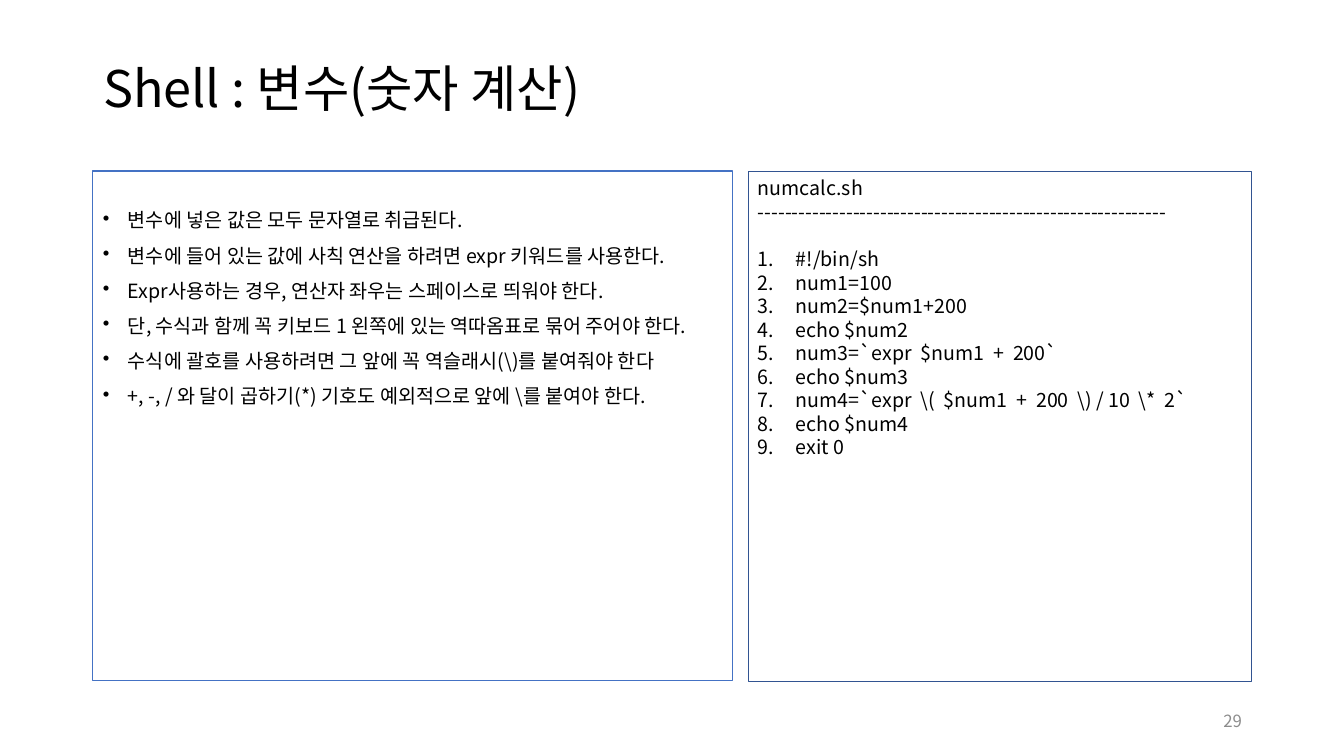
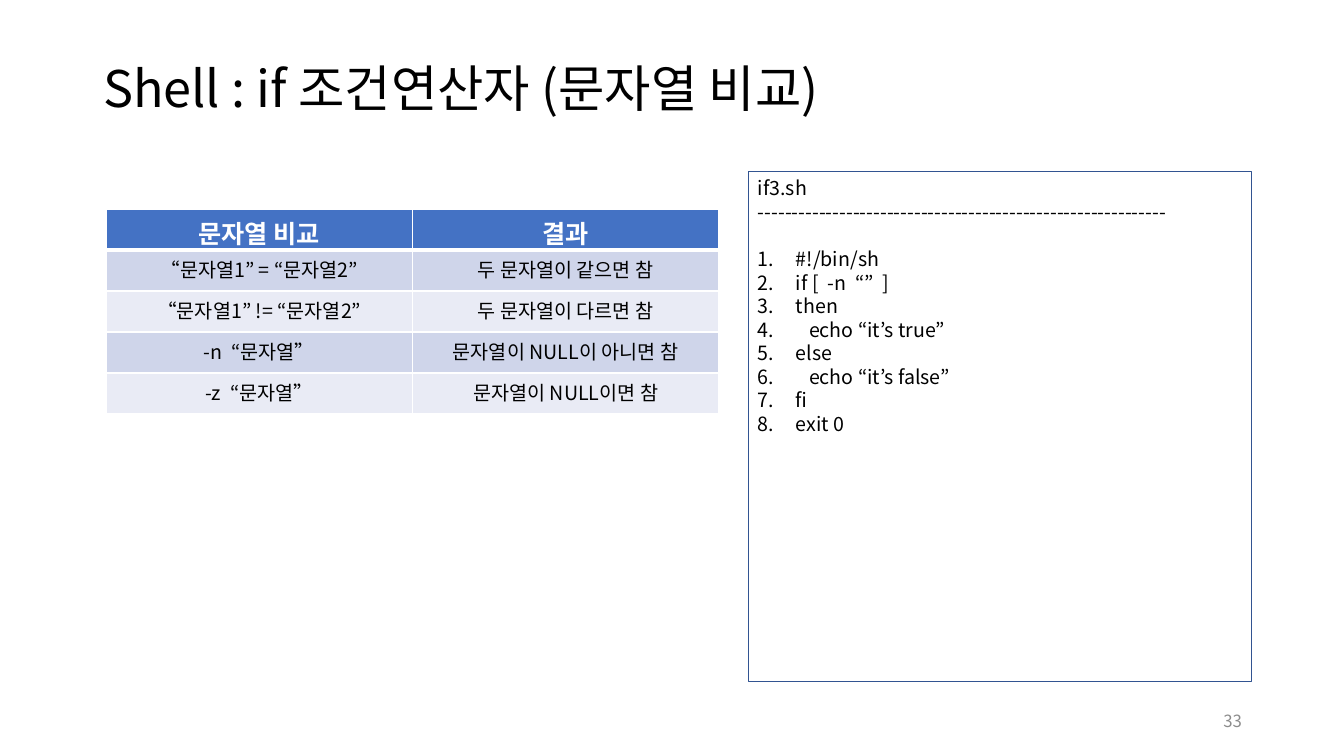
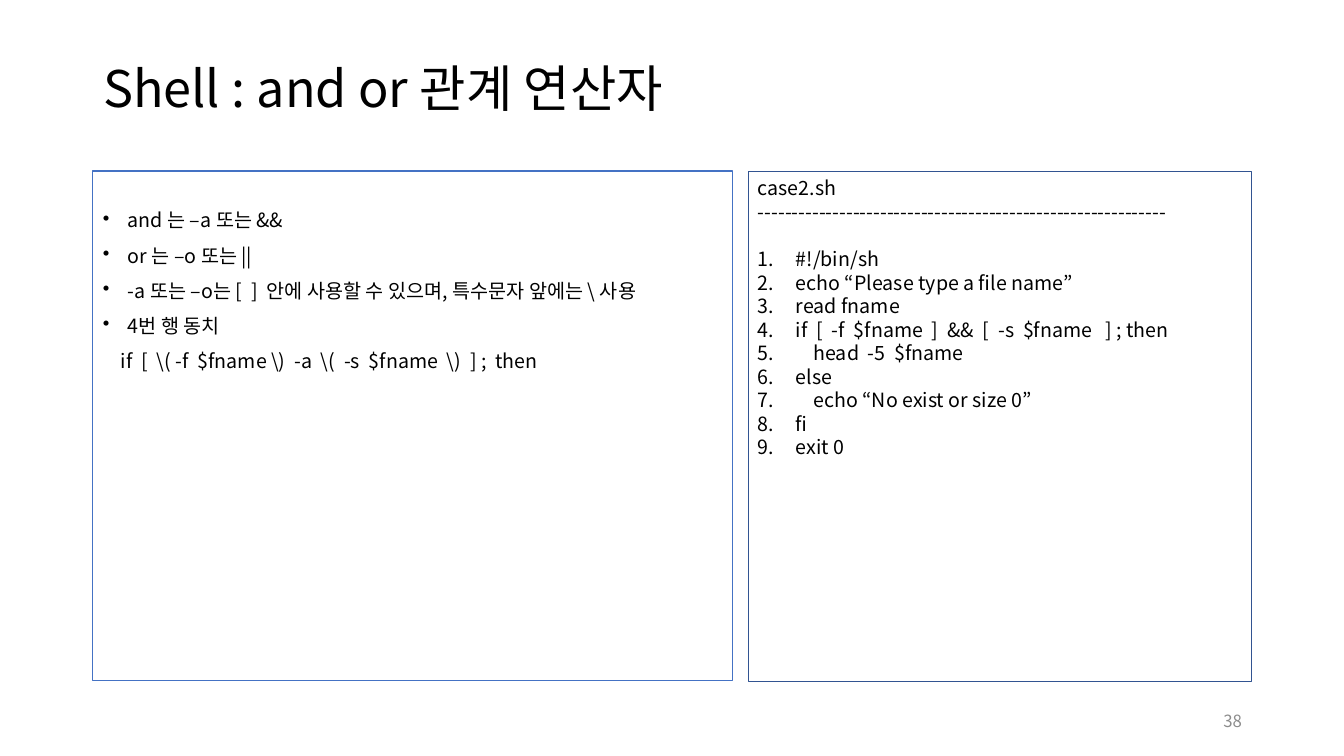
"""Build three slides on shell variables, string tests and logical operators."""
from lxml.etree import SubElement
from pptx import Presentation
from pptx.dml.color import RGBColor
from pptx.enum.shapes import MSO_SHAPE
from pptx.enum.text import MSO_ANCHOR, MSO_AUTO_SIZE, PP_ALIGN
from pptx.oxml.ns import qn
from pptx.util import Pt

PX = 914400 / 100.8
FONT = "Noto Sans CJK KR"
BLACK, WHITE, GRAY = "000000", "FFFFFF", "8C8C8C"
BLUE, NAVY = "4472C4", "325491"
BANDS = ["CFD5EA", "E9EBF5"]

TITLE = (93, 40, 1159, 102)
NOTES = (93, 171, 640, 510)
CODE = (748, 171, 503, 510)
TABLE = (106, 209, 613, 205)
NUMBER = (950, 701, 302, 40)
DOT = ("a:buChar", "char", "•")
COUNT = ("a:buAutoNum", "type", "arabicPeriod")
RULE = "-" * 60

SLIDES = [
    {
        "title": "Shell : 변수(숫자 계산)",
        "page": "29",
        "notes": [
            "변수에 넣은 값은 모두 문자열로 취급된다.",
            "변수에 들어 있는 값에 사칙 연산을 하려면 expr 키워드를 사용한다.",
            "Expr사용하는 경우, 연산자 좌우는 스페이스로 띄워야 한다.",
            "단, 수식과 함께 꼭 키보드 1 왼쪽에 있는 역따옴표로 묶어 주어야 한다.",
            "수식에 괄호를 사용하려면 그 앞에 꼭 역슬래시(\\)를 붙여줘야 한다",
            "+, -, / 와 달이 곱하기(*) 기호도 예외적으로 앞에 \\를 붙여야 한다.",
        ],
        "file": "numcalc.sh",
        "code": [
            "#!/bin/sh",
            "num1=100",
            "num2=$num1+200",
            "echo $num2",
            "num3=`expr  $num1  +  200`",
            "echo $num3",
            "num4=`expr  \\(  $num1  +  200  \\) / 10  \\*  2`",
            "echo $num4",
            "exit 0",
        ],
    },
    {
        "title": "Shell : if 조건연산자 (문자열 비교)",
        "page": "33",
        "table": [
            ("문자열 비교", "결과"),
            ("“문자열1” = “문자열2”", "두 문자열이 같으면 참"),
            ("“문자열1” != “문자열2”", "두 문자열이 다르면 참"),
            ("-n  “문자열”", "문자열이 NULL이 아니면 참"),
            ("-z  “문자열”", "문자열이 NULL이면 참"),
        ],
        "file": "if3.sh",
        "code": [
            "#!/bin/sh",
            "if [  -n  “”  ]",
            "then",
            "   echo “it’s true”",
            "else",
            "   echo “it’s false”",
            "fi",
            "exit 0",
        ],
    },
    {
        "title": "Shell : and or 관계 연산자",
        "page": "38",
        "notes": [
            "and 는 –a 또는 &&",
            "or 는 –o 또는 ||",
            "-a 또는 –o는 [  ]  안에 사용할 수 있으며, 특수문자 앞에는 \\ 사용",
            "4번 행 동치",
        ],
        "sample": "if  [  \\( -f  $fname \\)  -a  \\(  -s  $fname  \\)  ] ;  then",
        "file": "case2.sh",
        "code": [
            "#!/bin/sh",
            "echo “Please type a file name”",
            "read fname",
            "if  [  -f  $fname  ]  &&  [  -s  $fname   ] ; then",
            "    head  -5  $fname",
            "else",
            "    echo “No exist or size 0”",
            "fi",
            "exit 0",
        ],
    },
]


def px(size):
    return round(size * PX)


def rgb(code):
    return RGBColor.from_string(code)


def write(frame, text, size=14, color=BLACK, bold=False, align=PP_ALIGN.LEFT,
          space=1.0, before=0, left=0, hang=0, mark=None):
    para = frame.paragraphs[0]
    if para.runs:
        para = frame.add_paragraph()
    para.alignment = align
    para.line_spacing = space
    para.space_before = Pt(before)
    props = para._p.get_or_add_pPr()
    props.set("marL", str(px(left)))
    props.set("indent", str(-px(hang)))
    if mark:
        tag, key, value = mark
        SubElement(props, qn(tag)).set(key, value)
    run = para.add_run()
    run.text = text
    font = run.font
    font.size, font.bold, font.name = Pt(size), bold, FONT
    font.color.rgb = rgb(color)
    SubElement(run._r.get_or_add_rPr(), qn("a:ea")).set("typeface", FONT)


def panel(slide, box, color, width, top=5):
    shape = slide.shapes.add_shape(MSO_SHAPE.RECTANGLE, *map(px, box))
    shape.shadow.inherit = False
    shape.fill.background()
    shape.line.color.rgb = rgb(color)
    shape.line.width = Pt(width)
    frame = shape.text_frame
    frame.word_wrap = True
    frame.vertical_anchor = MSO_ANCHOR.TOP
    frame.margin_top = px(top)
    return frame


def add_title(slide, text):
    title = slide.shapes.title
    title.left, title.top, title.width, title.height = map(px, TITLE)
    frame = title.text_frame
    frame.auto_size = MSO_AUTO_SIZE.NONE
    frame.vertical_anchor = MSO_ANCHOR.MIDDLE
    write(frame, text, size=36, space=0.9)


def add_page(slide, text):
    frame = slide.shapes.add_textbox(*map(px, NUMBER)).text_frame
    frame.word_wrap = True
    frame.vertical_anchor = MSO_ANCHOR.MIDDLE
    write(frame, text, size=12, color=GRAY, align=PP_ALIGN.RIGHT)


def add_notes(slide, notes, sample):
    frame = panel(slide, NOTES, BLUE, 0.75, top=40)
    for i, note in enumerate(notes):
        write(frame, note, space=0.9, before=10 if i else 0,
              left=25, hang=25, mark=DOT)
    if sample:
        write(frame, sample, space=0.9, before=10, left=18)


def add_code(slide, name, code):
    frame = panel(slide, CODE, NAVY, 0.25)
    write(frame, name)
    write(frame, RULE)
    for i, line in enumerate(code):
        write(frame, line, before=0 if i else 17, left=38, hang=38, mark=COUNT)


def edge(cell, side, width):
    line = SubElement(cell._tc.get_or_add_tcPr(), qn("a:" + side))
    line.set("w", str(Pt(width)))
    fill = SubElement(line, qn("a:solidFill"))
    SubElement(fill, qn("a:srgbClr")).set("val", WHITE)


def add_grid(slide, rows):
    size = len(rows), len(rows[0])
    grid = slide.shapes.add_table(*size, *map(px, TABLE)).table
    for r, row in enumerate(rows):
        head = r == 0
        for c, text in enumerate(row):
            cell = grid.cell(r, c)
            for side in ("lnL", "lnR", "lnT", "lnB"):
                thick = (head and side == "lnB") or (r == 1 and side == "lnT")
                edge(cell, side, 3 if thick else 1)
            cell.fill.solid()
            cell.fill.fore_color.rgb = rgb(BLUE if head else BANDS[(r - 1) % 2])
            write(cell.text_frame, text, size=18 if head else 14, bold=head,
                  color=WHITE if head else BLACK, align=PP_ALIGN.CENTER)


def main():
    deck = Presentation()
    deck.slide_width, deck.slide_height = px(1344), px(756)
    for item in SLIDES:
        slide = deck.slides.add_slide(deck.slide_layouts[5])
        add_title(slide, item["title"])
        if "notes" in item:
            add_notes(slide, item["notes"], item.get("sample"))
        add_page(slide, item["page"])
        add_code(slide, item["file"], item["code"])
        if "table" in item:
            add_grid(slide, item["table"])
    deck.save("out.pptx")


if __name__ == "__main__":
    main()
